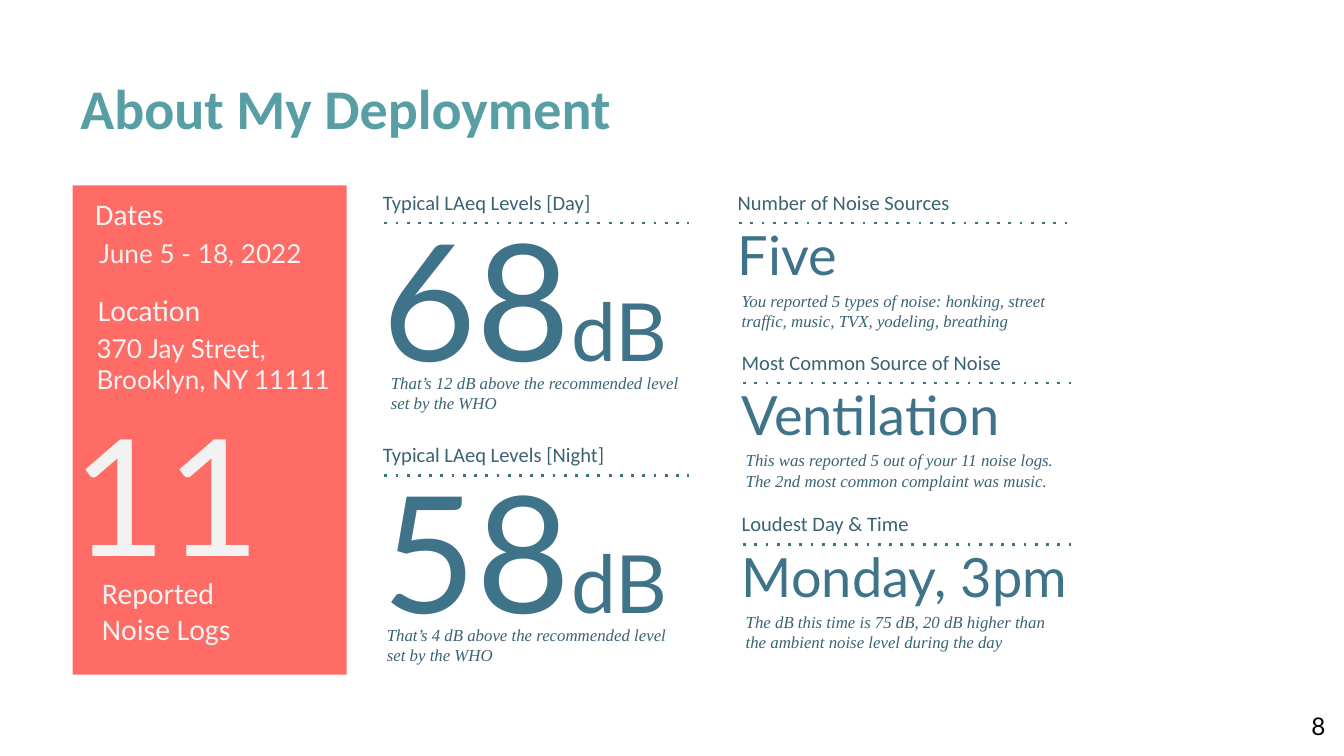
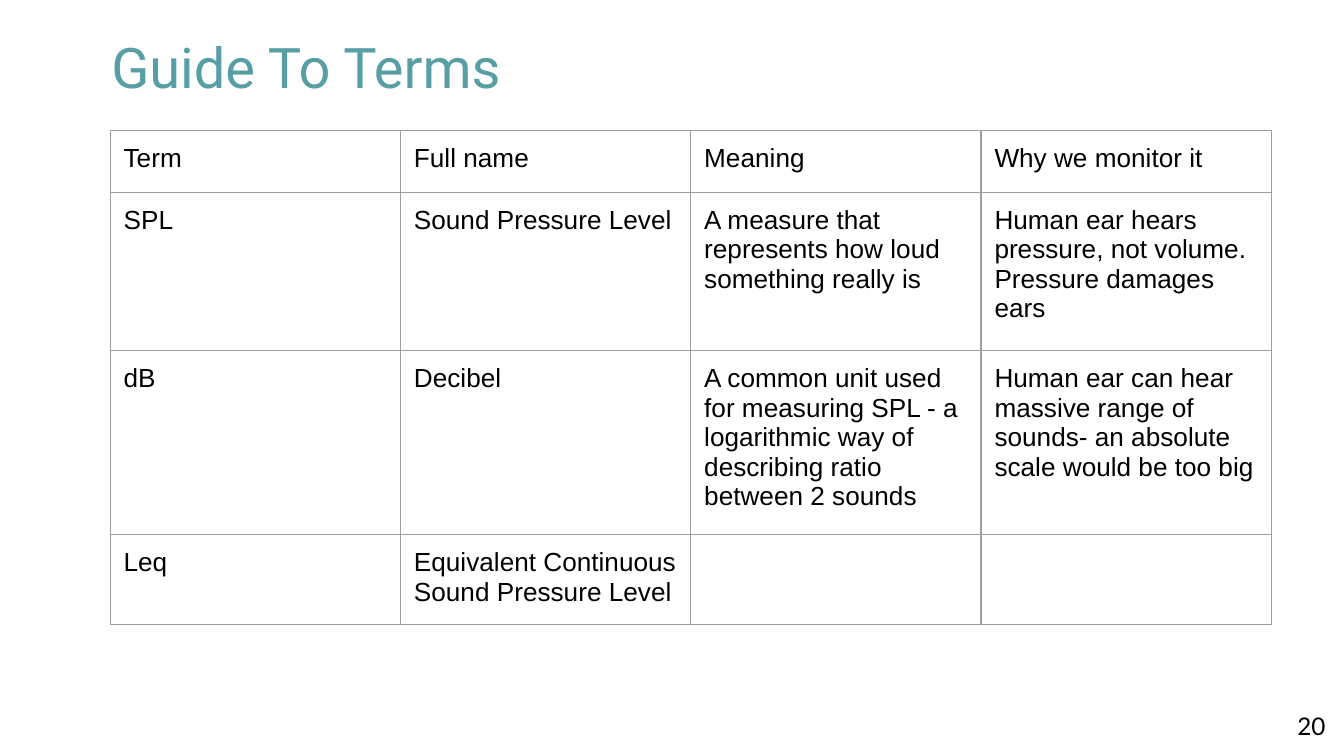
from lxml import etree
from pptx import Presentation
from pptx.dml.color import RGBColor
from pptx.enum.shapes import MSO_CONNECTOR, MSO_SHAPE
from pptx.enum.text import MSO_ANCHOR, PP_ALIGN
from pptx.oxml import parse_xml
from pptx.oxml.ns import nsdecls, qn
from pptx.util import Inches, Pt

STRAIGHT = MSO_CONNECTOR.STRAIGHT
RECTANGLE = MSO_SHAPE.RECTANGLE
TOP = MSO_ANCHOR.TOP
LEFT, RIGHT = PP_ALIGN.LEFT, PP_ALIGN.RIGHT

TEAL = RGBColor(0x58, 0x9E, 0xA5)
CORAL = RGBColor(0xFF, 0x6B, 0x65)
PALE = RGBColor(0xF2, 0xF2, 0xF2)
BLUE = RGBColor(0x3E, 0x73, 0x8A)
SLATE = RGBColor(0x3A, 0x63, 0x74)
DOT_GREEN = RGBColor(0x3B, 0x75, 0x77)
BLACK = RGBColor(0x00, 0x00, 0x00)
BORDER_GRAY = RGBColor(0x9E, 0x9E, 0x9E)

HEADING_FONT = "Calibri"
BODY_FONT = "Lato"
NOTE_FONT = "Times New Roman"
TABLE_FONT = "Arial"
TERMS_TITLE_FONT = "Roboto"
INSET = Inches(0.1)

TERMS = [
    ("Term", "Full name", "Meaning", "Why we monitor it"),
    ("SPL", "Sound Pressure Level",
     "A measure that represents how loud something really is",
     "Human ear hears pressure, not volume. Pressure damages ears"),
    ("dB", "Decibel",
     "A common unit used for measuring SPL - a logarithmic way of "
     "describing ratio between 2 sounds",
     "Human ear can hear massive range of sounds- an absolute scale "
     "would be too big"),
    ("Leq", "Equivalent Continuous Sound Pressure Level", "", ""),
]
TERM_ROW_HEIGHTS = (0.46, 1.18, 0.61, 0.46)
TERM_COLUMN_WIDTH = 2.16


def style_run(run, size, font, color, bold=False, italic=False):
    run.font.size = Pt(size)
    run.font.name = font
    run.font.color.rgb = color
    run.font.bold = bold
    run.font.italic = italic


def add_text(slide, box, text, size, font, color, bold=False, italic=False,
             align=LEFT):
    shape = slide.shapes.add_textbox(*map(Inches, box))
    text_frame = shape.text_frame
    text_frame.word_wrap = True
    text_frame.vertical_anchor = TOP
    text_frame.margin_left = text_frame.margin_right = INSET
    text_frame.margin_top = text_frame.margin_bottom = INSET
    text_frame.text = text
    for paragraph in text_frame.paragraphs:
        paragraph.alignment = align
        for run in paragraph.runs:
            style_run(run, size, font, color, bold, italic)
    return shape


def add_title(slide, box, text, font, bold=False):
    add_text(slide, box, text, 30, font, TEAL, bold=bold)


def add_slide_number(slide, number):
    add_text(slide, (9.36, 5.19, 0.6, 0.43), str(number), 13, BODY_FONT,
             BLACK, align=RIGHT)


def add_dotted_line(slide, left, top, width):
    connector = slide.shapes.add_connector(
        STRAIGHT, Inches(left), Inches(top), Inches(left + width), Inches(top))
    connector.line.color.rgb = DOT_GREEN
    connector.line.width = Pt(1.5)
    properties = connector._element.spPr
    dash = etree.SubElement(properties.find(qn("a:ln")), qn("a:prstDash"))
    dash.set("val", "dot")
    etree.SubElement(properties, qn("a:effectLst"))


def add_deployment_panel(slide, left, top, width, height):
    panel = slide.shapes.add_shape(
        RECTANGLE, *map(Inches, (left, top, width, height)))
    panel.shadow.inherit = False
    panel.fill.solid()
    panel.fill.fore_color.rgb = CORAL
    panel.line.fill.background()

    entries = [
        (0.07, -0.02, 1.17, 0.46, "Dates", 16, HEADING_FONT),
        (0.09, 0.69, 1.17, 0.46, "Location", 16, HEADING_FONT),
        (0.1, 0.29, 1.86, 0.44, "June 5 - 18, 2022", 14, BODY_FONT),
        (0.08, 0.99, 2.12, 0.67, "370 Jay Street,\nBrooklyn, NY 11111", 14,
         BODY_FONT),
        (-0.1, 1.45, 1.86, 1.67, "11", 87, BODY_FONT),
        (0.12, 2.8, 1.29, 0.46, "Reported Noise Logs", 16, HEADING_FONT),
    ]
    for x, y, entry_width, entry_height, text, size, font in entries:
        add_text(slide, (left + x, top + y, entry_width, entry_height),
                 text, size, font, PALE)


def add_metric_label(slide, left, top, label, line_width):
    add_text(slide, (left, top, 2.39, 0.46), label, 11, HEADING_FONT, SLATE)
    add_dotted_line(slide, left + 0.11, top + 0.34, line_width)


def add_metric_note(slide, left, top, width, note):
    add_text(slide, (left, top, width, 0.46), note, 9, NOTE_FONT, SLATE,
             italic=True)


def add_level(slide, left, top, label, value, note, note_indent):
    shape = add_text(slide, (left, top + 0.06, 2.67, 1.67), value, 87,
                     BODY_FONT, BLUE)
    unit = shape.text_frame.paragraphs[0].add_run()
    unit.text = "dB"
    style_run(unit, 43, BODY_FONT, BLUE)
    add_metric_label(slide, left, top, label, 2.27)
    add_metric_note(slide, left + note_indent, top + 1.35, 2.39, note)


def add_finding(slide, left, top, label, value, note):
    add_text(slide, (left, top + 0.23, 3.35, 0.69), value, 29, BODY_FONT, BLUE)
    add_metric_label(slide, left, top, label, 2.5)
    add_metric_note(slide, left + 0.03, top + 0.74, 2.58, note)


def build_deployment_slide(slide):
    add_title(slide, (0.5, 0.45, 7.62, 0.67), "About My Deployment",
              HEADING_FONT, bold=True)
    add_deployment_panel(slide, 0.54, 1.38, 2.04, 3.64)
    add_level(slide, 2.75, 1.32, "Typical LAeq Levels [Day]", "68",
              "That’s 12 dB above the recommended level set by the WHO", 0.06)
    add_level(slide, 2.75, 3.2, "Typical LAeq Levels [Night]", "58",
              "That’s 4 dB above the recommended level set by the WHO", 0.03)
    add_finding(slide, 5.39, 1.32, "Number of Noise Sources", "Five",
                "You reported 5 types of noise: honking, street traffic, "
                "music, TVX, yodeling, breathing")
    add_finding(slide, 5.42, 2.51, "Most Common Source of Noise",
                "Ventilation",
                "This was reported 5 out of your 11 noise logs. "
                "The 2nd most common complaint was music.")
    add_finding(slide, 5.42, 3.71, "Loudest Day & Time", "Monday, 3pm",
                "The dB this time is 75 dB, 20 dB higher than the ambient "
                "noise level during the day")
    add_slide_number(slide, 8)


def add_cell_borders(cell):
    properties = cell._tc.get_or_add_tcPr()
    for side in ("lnL", "lnR", "lnT", "lnB"):
        properties.append(parse_xml(
            f'<a:{side} {nsdecls("a")} w="{Pt(0.75)}"><a:solidFill>'
            f'<a:srgbClr val="{BORDER_GRAY}"/></a:solidFill></a:{side}>'))


def add_terms_table(slide, left, top, width, height):
    frame = slide.shapes.add_table(
        len(TERMS), len(TERMS[0]), *map(Inches, (left, top, width, height)))
    table = frame.table
    table.first_row = False
    table.horz_banding = False
    for column in table.columns:
        column.width = Inches(TERM_COLUMN_WIDTH)
    for row, row_height, texts in zip(table.rows, TERM_ROW_HEIGHTS, TERMS):
        row.height = Inches(row_height)
        for cell, text in zip(row.cells, texts):
            add_cell_borders(cell)
            cell.fill.background()
            cell.margin_left = cell.margin_right = INSET
            cell.margin_top = cell.margin_bottom = INSET
            if text:
                cell.text_frame.text = text
                style_run(cell.text_frame.paragraphs[0].runs[0], 14,
                          TABLE_FONT, BLACK)
    frame.width, frame.height = Inches(width), Inches(height)


def build_terms_slide(slide):
    add_title(slide, (0.73, 0.14, 4.88, 0.67), "Guide To Terms",
              TERMS_TITLE_FONT)
    add_terms_table(slide, 0.82, 0.97, 3.28, 3.28)
    add_slide_number(slide, 20)


def main():
    presentation = Presentation()
    presentation.slide_width = Inches(10)
    presentation.slide_height = presentation.slide_width * 9 // 16
    blank_layout = presentation.slide_layouts[6]
    for build in (build_deployment_slide, build_terms_slide):
        build(presentation.slides.add_slide(blank_layout))
    presentation.save("out.pptx")


if __name__ == "__main__":
    main()
